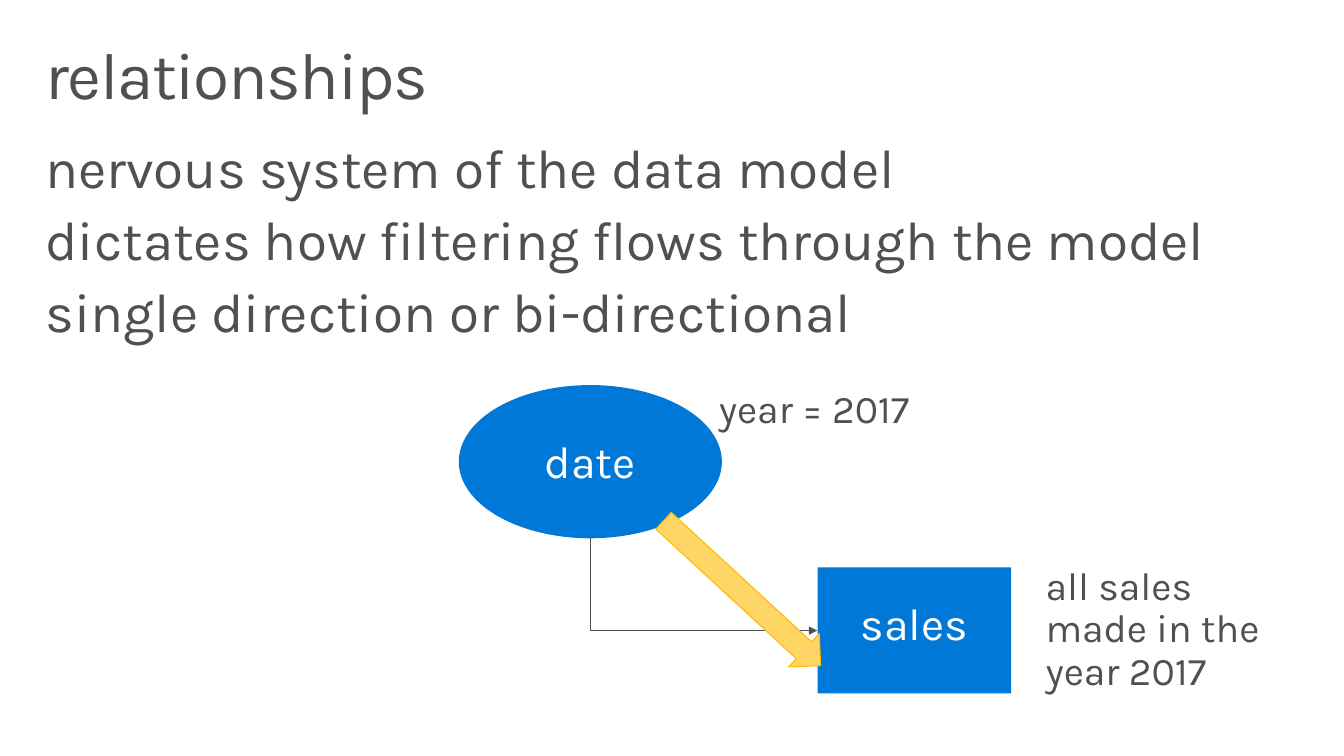
from lxml import etree
from pptx import Presentation
from pptx.dml.color import RGBColor
from pptx.enum.shapes import MSO_CONNECTOR as CONNECTOR, MSO_SHAPE as SHAPE
from pptx.enum.text import MSO_ANCHOR as ANCHOR, MSO_AUTO_SIZE as FIT, PP_ALIGN as ALIGN
from pptx.oxml.ns import qn
from pptx.util import Pt

PX = 9144
GREY = RGBColor(0x50, 0x50, 0x50)
WHITE = RGBColor(0xFF, 0xFF, 0xFF)
BLUE = RGBColor(0x00, 0x78, 0xD7)
GOLD = RGBColor(0xFF, 0xB9, 0x00)
PALE_GOLD = RGBColor(0xFF, 0xD5, 0x66)


def px(*lengths):
    return [length * PX for length in lengths]


def write(box, text, size, color, insets, align=ALIGN.LEFT, before=0):
    frame = box.text_frame
    frame.text = text
    frame.word_wrap = True
    frame.auto_size = FIT.NONE
    frame.vertical_anchor = ANCHOR.TOP
    side, top, bottom = px(*insets)
    frame.margin_left = frame.margin_right = side
    frame.margin_top, frame.margin_bottom = top, bottom
    for index, para in enumerate(frame.paragraphs):
        para.alignment = align
        para.line_spacing = 0.9
        para.space_before = Pt(before if index else 0)
        for span in para.runs:
            span.font.name = "Karla"
            span.font.size = Pt(size)
            span.font.color.rgb = color


deck = Presentation()
deck.slide_width, deck.slide_height = px(1333, 750)
page = deck.slides.add_slide(deck.slide_layouts[5])
shapes = page.shapes

title = shapes.title
title.left, title.top, title.width, title.height = px(29, 32, 1275, 98)
write(title, "relationships", 47, GREY, (16, 10, 10))
title.text_frame.paragraphs[0].runs[0].font._element.set("spc", "-100")

points = [
    "nervous system of the data model",
    "dictates how filtering flows through the model",
    "single direction or bi-directional",
]
body = shapes.add_textbox(*px(29, 130, 1274, 225))
write(body, "\n".join(points), 39.2, GREY, (16, 10, 10), before=9)

tables = [
    ("sales", SHAPE.RECTANGLE, (811, 563, 192, 125), 34),
    ("date", SHAPE.OVAL, (455, 382, 261, 152), 32),
]
for name, kind, place, top in tables:
    table = shapes.add_shape(kind, *px(*place))
    table.shadow.inherit = False
    table.fill.solid()
    table.fill.fore_color.rgb = BLUE
    table.line.fill.background()
    write(table, name, 32, WHITE, (20, top, 16), ALIGN.CENTER)

relation = shapes.add_connector(CONNECTOR.ELBOW, *px(744, 467, 652, 692))
relation.line.color.rgb = GREY
relation.line.width = Pt(0.75)
properties = relation._element.spPr
properties.find(qn("a:xfrm")).set("rot", str(270 * 60000))
properties.find(qn("a:prstGeom")).set("prst", "bentConnector2")
etree.SubElement(properties.find(qn("a:ln")), qn("a:tailEnd"), type="triangle")
etree.SubElement(properties, qn("a:effectLst"))

notes = [
    ("year = 2017", (693, 371, 235, 75)),
    ("all sales made in the year 2017", (1017, 546, 271, 160)),
]
for text, place in notes:
    write(shapes.add_textbox(*px(*place)), text, 28, GREY, (20, 16, 16))

flow = shapes.add_shape(SHAPE.RIGHT_ARROW, *px(630, 566, 212, 45))
flow.rotation = 42.7
flow.shadow.inherit = False
flow.fill.solid()
flow.fill.fore_color.rgb = PALE_GOLD
flow.line.color.rgb = GOLD
flow.line.width = Pt(0.75)

deck.save("out.pptx")
